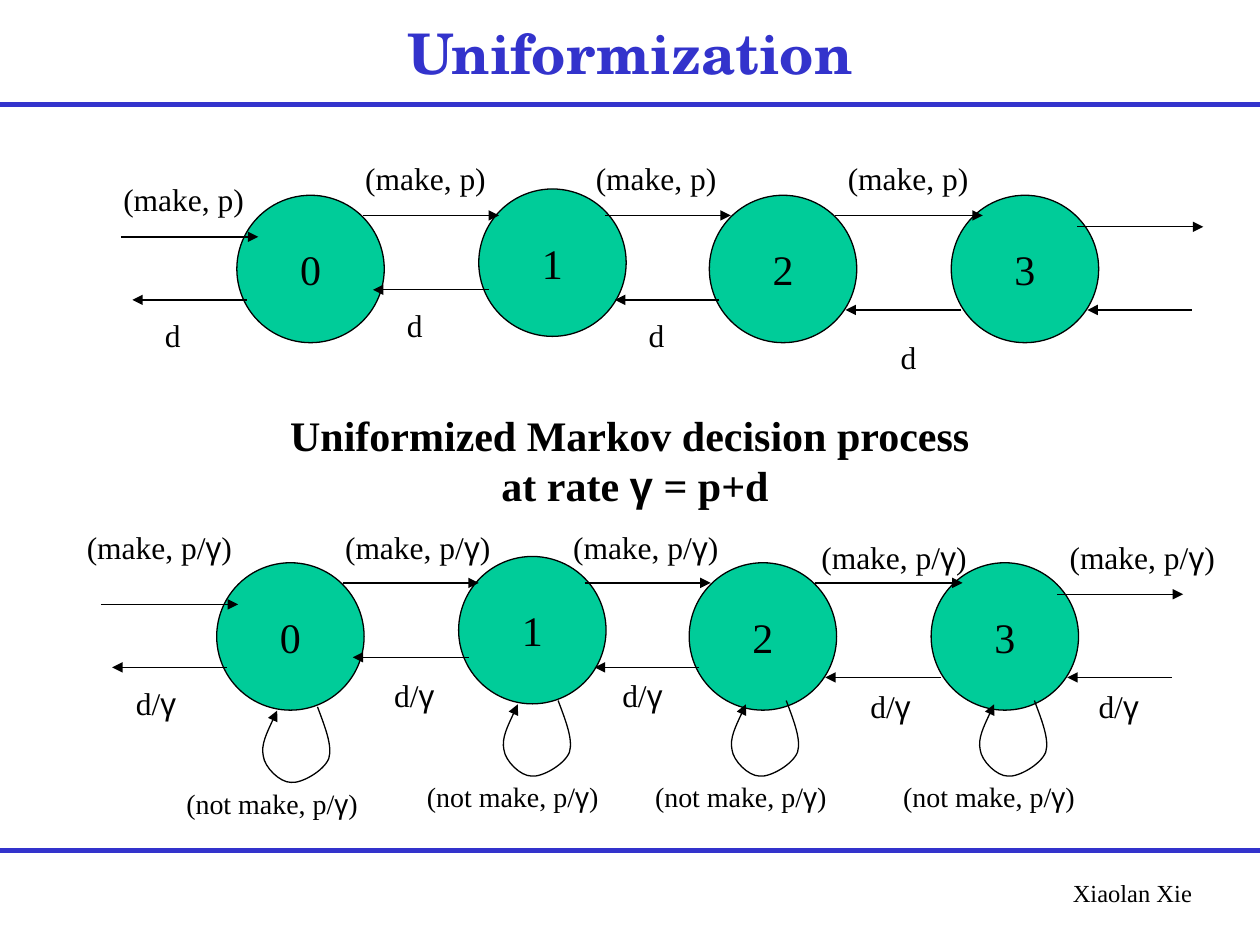
from dataclasses import dataclass

from lxml.etree import SubElement
from pptx import Presentation
from pptx.dml.color import RGBColor
from pptx.enum.shapes import MSO_CONNECTOR, MSO_SHAPE
from pptx.enum.text import MSO_ANCHOR, MSO_AUTO_SIZE, PP_ALIGN
from pptx.oxml.ns import qn
from pptx.util import Inches, Pt


@dataclass(frozen=True)
class Theme:
    accent: RGBColor = RGBColor(0x33, 0x33, 0xCC)
    state: RGBColor = RGBColor(0x00, 0xCC, 0x99)
    ink: RGBColor = RGBColor(0, 0, 0)
    title_font: str = "TeX Gyre Schola"
    body_font: str = "Times New Roman"
    greek_font: str = "Arial"
    title_size: Pt = Pt(32)
    heading_size: Pt = Pt(24)
    label_size: Pt = Pt(18)
    loop_size: Pt = Pt(16)
    footer_size: Pt = Pt(14)
    rule_width: Pt = Pt(3)
    line_width: Pt = Pt(0.75)


theme = Theme()
presentation = Presentation()
presentation.slide_width = Inches(10)
presentation.slide_height = Inches(7.5)
slide = presentation.slides.add_slide(presentation.slide_layouts[5])
shapes = slide.shapes


def add_line(start, end, color, width, arrow=True):
    line = shapes.add_connector(
        MSO_CONNECTOR.STRAIGHT, *[Inches(value) for value in (*start, *end)]
    )
    line.line.color.rgb = color
    line.line.width = width
    if arrow:
        SubElement(line.line._get_or_add_ln(), qn("a:tailEnd"), type="triangle")
    SubElement(line._element.spPr, qn("a:effectLst"))


def add_label(lines, left, top, width, height, size, align=PP_ALIGN.LEFT, bold=False):
    box = shapes.add_textbox(Inches(left), Inches(top), Inches(width), Inches(height))
    frame = box.text_frame
    frame.word_wrap = True
    for index, text in enumerate(lines):
        paragraph = frame.paragraphs[0] if index == 0 else frame.add_paragraph()
        paragraph.alignment = align
        paragraph.font.name = theme.body_font
        paragraph.font.size = size
        paragraph.font.bold = bold
        paragraph.font.color.rgb = theme.ink
        before, gamma, after = text.partition("γ")
        for part in filter(None, (before, gamma, after)):
            run = paragraph.add_run()
            run.text = part
            if part == "γ":
                run.font.name = theme.greek_font


for rule_top in (6.75, 0.83):
    add_line((0, rule_top), (10, rule_top), theme.accent, theme.rule_width, arrow=False)

title = shapes.title
title.left, title.top = Inches(0.75), Inches(0.08)
title.width, title.height = Inches(8.5), Inches(0.67)
title.text_frame.text = "Uniformization"
title.text_frame.auto_size = MSO_AUTO_SIZE.NONE
title.text_frame.vertical_anchor = MSO_ANCHOR.MIDDLE
paragraph = title.text_frame.paragraphs[0]
paragraph.alignment = PP_ALIGN.CENTER
paragraph.font.name = theme.title_font
paragraph.font.size = theme.title_size
paragraph.font.bold = True
paragraph.font.color.rgb = theme.accent

add_label(["Xiaolan Xie"], 7.31, 6.92, 2.25, 0.34, theme.footer_size, PP_ALIGN.RIGHT)

diameter = 1.17
states = [(1.88, 1.55), (3.8, 1.5), (5.63, 1.55), (7.55, 1.55)]
transitions = [
    (0.96, 2.05, 1.88), (2.88, 3.96, 1.71), (4.8, 5.8, 1.71),
    (6.63, 7.8, 1.71), (8.55, 9.55, 1.8),
    (1.96, 1.05, 2.38), (3.88, 2.96, 2.3), (5.71, 4.88, 2.38),
    (7.63, 6.71, 2.46), (9.46, 8.63, 2.46),
]
for shift_x, shift_y in ((0, 0), (-0.16, 35 / 12)):
    for number, (left, top) in enumerate(states):
        state = shapes.add_shape(
            MSO_SHAPE.OVAL, Inches(left + shift_x), Inches(top + shift_y),
            Inches(diameter), Inches(diameter),
        )
        state.shadow.inherit = False
        state.fill.solid()
        state.fill.fore_color.rgb = theme.state
        state.line.color.rgb = theme.ink
        state.line.width = theme.line_width
        state.text_frame.word_wrap = False
        state.text_frame.vertical_anchor = MSO_ANCHOR.MIDDLE
        state.text_frame.text = str(number)
        paragraph = state.text_frame.paragraphs[0]
        paragraph.alignment = PP_ALIGN.CENTER
        paragraph.font.name = theme.body_font
        paragraph.font.size = theme.heading_size
        paragraph.font.color.rgb = theme.ink
    for start, end, level in transitions:
        add_line(
            (start + shift_x, level + shift_y), (end + shift_x, level + shift_y),
            theme.ink, theme.line_width,
        )

label_groups = [
    ("(make, p)", 1.25, [(0.88, 1.38), (2.8, 1.21), (4.63, 1.21), (6.63, 1.21)]),
    ("d", 0.42, [(1.21, 2.46), (3.13, 2.38), (5.05, 2.46), (7.05, 2.63)]),
    ("(make, p/γ)", 1.38,
     [(0.59, 4.14), (2.64, 4.14), (4.45, 4.14), (6.42, 4.22), (8.39, 4.22)]),
    ("d/γ", 0.55, [(0.98, 5.38), (3.03, 5.32), (4.84, 5.32), (6.81, 5.4), (8.62, 5.4)]),
]
for text, width, positions in label_groups:
    for left, top in positions:
        add_label([text], left, top, width, 0.4, theme.label_size)

add_label(
    ["Uniformized Markov decision process ", "at rate γ = p+d"],
    1.3, 3.2, 7.48, 0.9, theme.heading_size, PP_ALIGN.CENTER, bold=True,
)

loop_points = [
    (0.06, 0.16), (0.12, 0.31), (0.09, 0.41),
    (0.05, 0.51), (-0.13, 0.61), (-0.21, 0.6),
    (-0.3, 0.6), (-0.42, 0.48), (-0.43, 0.39),
    (-0.45, 0.3), (-0.38, 0.16), (-0.32, 0.03),
]
for left, top in ((2.52, 5.61), (4.43, 5.56), (6.24, 5.56), (8.21, 5.56)):
    builder = shapes.build_freeform(Inches(left), Inches(top))
    builder.add_line_segments(
        [(Inches(left + x), Inches(top + y)) for x, y in loop_points], close=False
    )
    loop = builder.convert_to_shape()
    outline = next(loop._element.iter(qn("a:path")))
    segments = outline.findall(qn("a:lnTo"))
    for first in range(0, len(segments), 3):
        curve = SubElement(outline, qn("a:cubicBezTo"))
        for segment in segments[first:first + 3]:
            curve.append(segment[0])
            outline.remove(segment)
    loop.shadow.inherit = False
    loop.fill.background()
    loop.line.color.rgb = theme.ink
    loop.line.width = theme.line_width
    SubElement(loop.line._get_or_add_ln(), qn("a:tailEnd"), type="triangle")
    add_label(["(not make, p/γ)"], left - 1.14, top + 0.58, 1.65, 0.37, theme.loop_size)

presentation.save("out.pptx")
